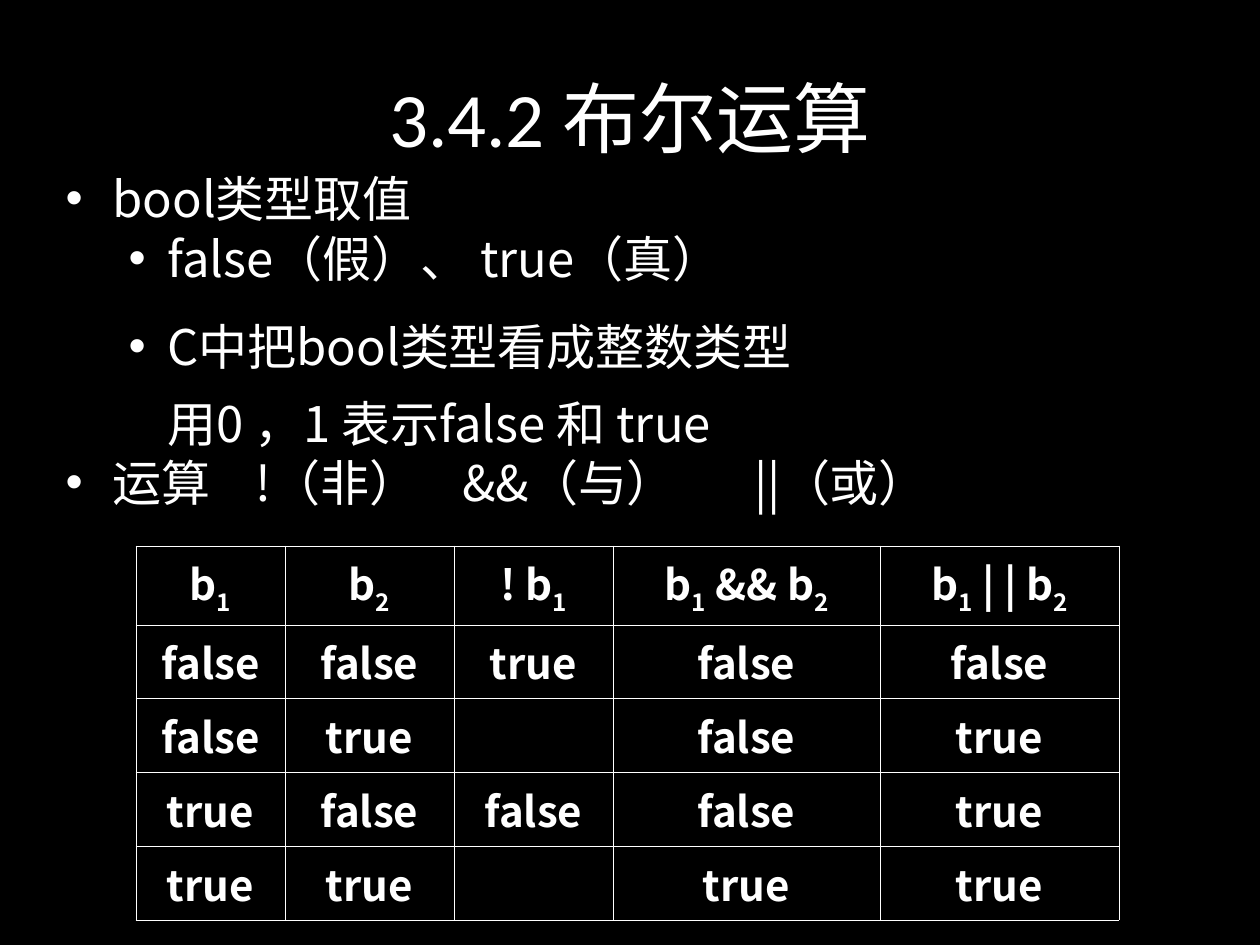
from lxml.etree import SubElement
from pptx import Presentation
from pptx.dml.color import RGBColor
from pptx.enum.text import MSO_ANCHOR, MSO_AUTO_SIZE, PP_ALIGN
from pptx.oxml.ns import qn
from pptx.util import Emu, Pt

PX = 914400 // 126
COLORS = {"background": "000000", "text": "FFFFFF", "border": "FFFFFF"}
FONTS = {"title": "Calibri", "body": "Noto Sans CJK SC"}


class SlideBuilder:
    """Hold the style and the current slide, and add each kind of element."""

    def __init__(self, presentation):
        self.slide = presentation.slides.add_slide(presentation.slide_layouts[1])
        self.fill(self.slide.background.fill, "background")

    def fill(self, fill, color):
        fill.solid()
        fill.fore_color.rgb = RGBColor.from_string(COLORS[color])

    def style(self, paragraph, font, size, bold=False):
        paragraph.font.name = FONTS[font]
        paragraph.font.size = Pt(size)
        paragraph.font.bold = bold
        paragraph.font.color.rgb = RGBColor.from_string(COLORS["text"])

    def place(self, shape, box):
        shape.left, shape.top, shape.width, shape.height = [Emu(n * PX) for n in box]
        shape.text_frame.word_wrap = True
        shape.text_frame.auto_size = MSO_AUTO_SIZE.NONE
        return shape.text_frame

    def title(self, text, box):
        frame = self.place(self.slide.shapes.title, box)
        frame.vertical_anchor = MSO_ANCHOR.MIDDLE
        paragraph = frame.paragraphs[0]
        paragraph.text = text
        paragraph.alignment = PP_ALIGN.CENTER
        self.style(paragraph, "title", 44)

    def bullets(self, items, box, tabs):
        frame = self.place(self.slide.placeholders[1], box)
        for index, (level, spacing, text) in enumerate(items):
            paragraph = frame.paragraphs[0] if index == 0 else frame.add_paragraph()
            paragraph.text = text
            paragraph.level = level
            paragraph.line_spacing = spacing
            paragraph.space_before = Pt(7 if index else 0)
            margin, hanging = [(47, 47), (102, 39)][level]
            properties = paragraph._p.get_or_add_pPr()
            properties.set("marL", str(margin * PX))
            properties.set("indent", str(-hanging * PX))
            SubElement(properties, qn("a:buFont"), typeface="Arial")
            SubElement(properties, qn("a:buChar"), char="•")
            if "\t" in text:
                tab_list = SubElement(properties, qn("a:tabLst"))
                for tab in tabs:
                    SubElement(tab_list, qn("a:tab"), pos=str(tab * PX), algn="l")
            self.style(paragraph, "body", 28)

    def borders(self, cell):
        properties = cell._tc.get_or_add_tcPr()
        for index, side in enumerate(("lnL", "lnR", "lnT", "lnB")):
            line = properties.makeelement(qn(f"a:{side}"), {"w": str(Pt(0.45))})
            solid = SubElement(line, qn("a:solidFill"))
            SubElement(solid, qn("a:srgbClr"), val=COLORS["border"])
            properties.insert(index, line)

    def cell(self, cell, text):
        self.fill(cell.fill, "background")
        self.borders(cell)
        paragraph = cell.text_frame.paragraphs[0]
        paragraph.alignment = PP_ALIGN.CENTER
        self.style(paragraph, "body", 24, bold=True)
        for index, part in enumerate(text.split("_")):
            if index:
                subscript = paragraph.add_run()
                subscript.text, part = part[0], part[1:]
                subscript.font._element.set("baseline", "-25000")
            if part:
                paragraph.add_run().text = part

    def table(self, rows, left, top, widths, heights):
        frame = self.slide.shapes.add_table(
            len(rows), len(widths), left * PX, top * PX, sum(widths) * PX, sum(heights) * PX
        )
        table = frame.table
        table.first_row = table.horz_banding = False
        for column, width in zip(table.columns, widths):
            column.width = Emu(width * PX)
        for row, height, texts in zip(table.rows, heights, rows):
            row.height = Emu(height * PX)
            for cell, text in zip(row.cells, texts):
                self.cell(cell, text)


def main():
    presentation = Presentation()
    presentation.slide_width, presentation.slide_height = Emu(1260 * PX), Emu(945 * PX)
    builder = SlideBuilder(presentation)
    builder.title("3.4.2 布尔运算", (63, 38, 1134, 158))
    builder.bullets(
        [
            (0, 0.8, "bool类型取值"),
            (1, 0.8, "false（假）、 true（真）"),
            (1, 1.3, "C中把bool类型看成整数类型\v用0 ，1 表示false 和 true"),
            (0, 0.8, "运算\t!（非）\t&&（与）\t||（或）"),
        ],
        (53, 174, 1176, 392),
        tabs=(190, 397, 689),
    )
    builder.table(
        [
            ["b_1", "b_2", "! b_1", "b_1 && b_2", "b_1 | | b_2"],
            ["false", "false", "true", "false", "false"],
            ["false", "true", "", "false", "true"],
            ["true", "false", "false", "false", "true"],
            ["true", "true", "", "true", "true"],
        ],
        136, 546, [149, 169, 159, 267, 239], [79, 73, 74, 73, 74],
    )
    presentation.save("out.pptx")


if __name__ == "__main__":
    main()
